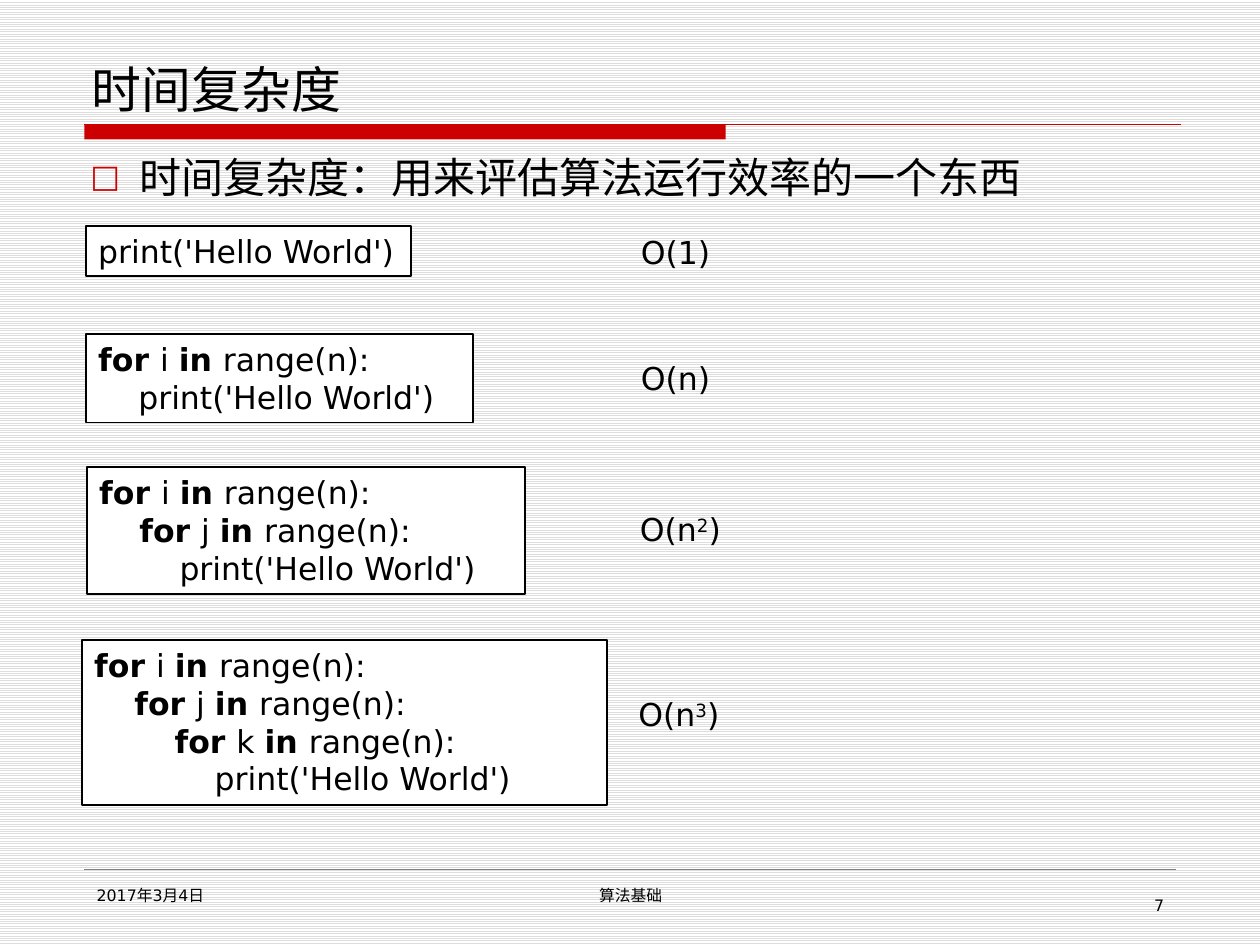
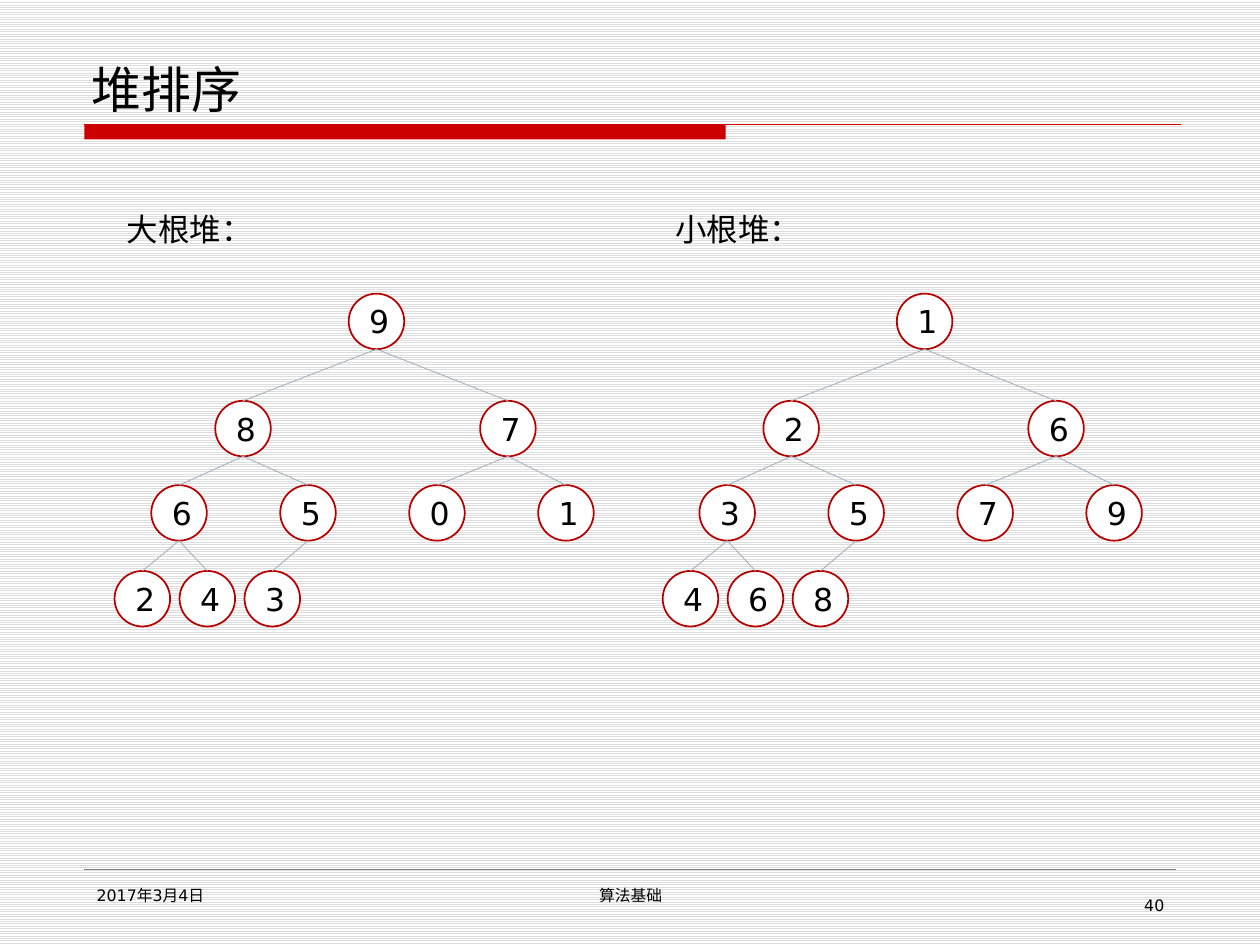
from dataclasses import dataclass

from lxml import etree
from pptx import Presentation
from pptx.dml.color import RGBColor
from pptx.enum.dml import MSO_PATTERN
from pptx.enum.shapes import MSO_CONNECTOR, MSO_SHAPE
from pptx.enum.text import MSO_ANCHOR, MSO_AUTO_SIZE, PP_ALIGN
from pptx.oxml.ns import qn
from pptx.util import Cm, Pt

RECT, OVAL = MSO_SHAPE.RECTANGLE, MSO_SHAPE.OVAL
STRAIGHT = MSO_CONNECTOR.STRAIGHT
STRIPES = MSO_PATTERN.LIGHT_HORIZONTAL
LEFT, CENTER, RIGHT = PP_ALIGN.LEFT, PP_ALIGN.CENTER, PP_ALIGN.RIGHT
TOP, MIDDLE, BOTTOM = MSO_ANCHOR.TOP, MSO_ANCHOR.MIDDLE, MSO_ANCHOR.BOTTOM
NO_AUTOFIT = MSO_AUTO_SIZE.NONE
TITLE_AND_BODY, TITLE_ONLY = 1, 5

FONT = "DejaVu Sans"
COLORS = {
    "text": "000000",
    "white": "FFFFFF",
    "stripe": "DDDDDD",
    "red": "CC0000",
    "node": "B90000",
    "edge": "A3B2C1",
    "rule": "808080",
}

INDENT = 0.81
LINE_H = 0.77
NODE = 1.12
LEVEL_TOPS = (5.92, 8.08, 9.78, 11.51)
LEVEL_LEFTS = (
    (4.72,),
    (2.03, 7.37),
    tuple(0.74 + 2.6 * i for i in range(4)),
    tuple(1.31 * i for i in range(8)),
)


@dataclass
class Example:
    """A code box with nested loops and its complexity."""

    left: float
    top: float
    width: float
    loops: str
    order_left: float
    order_top: float
    base: str
    power: str = ""


@dataclass
class Heap:
    """A labelled heap, its values in level order."""

    left: float
    label: str
    values: tuple[int, ...]


@dataclass
class Footer:
    """One of the footer texts."""

    left: float
    top: float
    width: float
    height: float
    align: PP_ALIGN
    text: str


EXAMPLES = (
    Example(1.73, 4.55, 6.55, "", 12.67, 4.57, "O(1"),
    Example(1.73, 6.73, 7.8, "i", 12.67, 7.11, "O(n"),
    Example(1.75, 9.42, 8.84, "ij", 12.65, 10.16, "O(n", "2"),
    Example(1.65, 12.9, 10.59, "ijk", 12.62, 13.89, "O(n", "3"),
)
HEAPS = (
    Heap(2.31, "大根堆：", (9, 8, 7, 6, 5, 0, 1, 2, 4, 3)),
    Heap(13.36, "小根堆：", (1, 2, 6, 3, 5, 7, 9, 4, 6, 8)),
)


def rgb(name: str) -> RGBColor:
    """Return a named colour."""
    return RGBColor.from_string(COLORS[name])


def add_text(p, text: str, *, size: float = 18, bold: bool = False,
             raised: bool = False, align: PP_ALIGN = LEFT) -> None:
    """Add a formatted run to a paragraph."""
    p.alignment = align
    r = p.add_run()
    r.text = text
    r.font.name = FONT
    r.font.size = Pt(size)
    r.font.bold = bold
    r.font.color.rgb = rgb("text")
    if raised:
        r._r.get_or_add_rPr().set("baseline", "30000")


def add_box(s, left: float, top: float, width: float, height: float):
    """Add a wrapping text box and return its first paragraph."""
    sp = s.shapes.add_textbox(Cm(left), Cm(top), Cm(width), Cm(height))
    sp.text_frame.word_wrap = True
    return sp.text_frame.paragraphs[0]


def add_shape(shapes, kind: MSO_SHAPE, left: float, top: float, width: float,
              height: float, *, fill: str = "white", line: str = ""):
    """Add a flat preset shape with an optional outline."""
    sp = shapes.add_shape(kind, Cm(left), Cm(top), Cm(width), Cm(height))
    sp.shadow.inherit = False
    sp.fill.solid()
    sp.fill.fore_color.rgb = rgb(fill)
    if line:
        sp.line.color.rgb = rgb(line)
        sp.line.width = Pt(1)
    else:
        sp.line.fill.background()
    return sp


def add_line(shapes, x1: int, y1: int, x2: int, y2: int, *, color: str, width: float):
    """Add a straight line without a shadow."""
    cxn = shapes.add_connector(STRAIGHT, x1, y1, x2, y2)
    cxn.line.color.rgb = rgb(color)
    cxn.line.width = Pt(width)
    etree.SubElement(cxn._element.spPr, qn("a:effectLst"))
    return cxn


def fill_placeholder(sp, text: str, left: float, top: float, width: float,
                     height: float, *, size: float, anchor: MSO_ANCHOR):
    """Place a placeholder, write its text and return the paragraph."""
    sp.left, sp.top, sp.width, sp.height = Cm(left), Cm(top), Cm(width), Cm(height)
    tf = sp.text_frame
    tf.auto_size = NO_AUTOFIT
    tf.vertical_anchor = anchor
    add_text(tf.paragraphs[0], text, size=size)
    return tf.paragraphs[0]


def set_bullet(p) -> None:
    """Give a paragraph a red square bullet."""
    pPr = p._p.get_or_add_pPr()
    pPr.set("marL", str(Cm(0.99)))
    pPr.set("indent", str(Cm(-0.99)))
    clr = etree.SubElement(pPr, qn("a:buClr"))
    etree.SubElement(clr, qn("a:srgbClr"), val=COLORS["red"])
    etree.SubElement(pPr, qn("a:buSzPct"), val="75000")
    etree.SubElement(pPr, qn("a:buFont"), typeface=FONT)
    etree.SubElement(pPr, qn("a:buChar"), char="□")


def add_slide(prs, layout: int, title: str, number: int):
    """Add a slide with the shared band, title and footers."""
    s = prs.slides.add_slide(prs.slide_layouts[layout])
    add_shape(s.shapes, RECT, 1.7, 2.51, 12.93, 0.3, fill="red")
    add_line(s.shapes, Cm(1.7), Cm(2.51), Cm(23.8), Cm(2.51), color="red", width=0.75)
    add_line(s.shapes, Cm(1.7), Cm(17.53), Cm(23.7), Cm(17.53), color="rule", width=0.25)
    fill_placeholder(s.shapes.title, title, 1.6, 0.84, 22.23, 1.68,
                     size=28.5, anchor=BOTTOM)
    footers = (
        Footer(1.7, 17.73, 5.51, 0.94, LEFT, "2017年3月4日"),
        Footer(8.69, 17.73, 8.05, 0.94, CENTER, "算法基础"),
        Footer(18.21, 17.93, 5.51, 0.74, RIGHT, str(number)),
    )
    for f in footers:
        p = add_box(s, f.left, f.top, f.width, f.height)
        add_text(p, f.text, size=9, align=f.align)
    return s


def add_example(s, ex: Example) -> None:
    """Draw a code box and its complexity."""
    depth = len(ex.loops)
    sp = add_shape(s.shapes, RECT, ex.left, ex.top, ex.width,
                   1.02 + LINE_H * depth, line="text")
    tf = sp.text_frame
    tf.vertical_anchor = TOP
    for level in range(depth + 1):
        p = tf.add_paragraph() if level else tf.paragraphs[0]
        p._p.get_or_add_pPr().set("marL", str(Cm(INDENT * level)))
        if level == depth:
            add_text(p, "print('Hello World')")
        else:
            add_text(p, "for ", bold=True)
            add_text(p, f"{ex.loops[level]} ")
            add_text(p, "in ", bold=True)
            add_text(p, "range(n):")
    p = add_box(s, ex.order_left, ex.order_top, 2.62, 1.02)
    add_text(p, ex.base)
    if ex.power:
        add_text(p, ex.power, raised=True)
    add_text(p, ")")


def add_heap(s, heap: Heap) -> None:
    """Draw a heap as a grouped binary tree with its label."""
    shapes = s.shapes.add_group_shape().shapes
    spots = [(left, top) for top, lefts in zip(LEVEL_TOPS, LEVEL_LEFTS) for left in lefts]
    nodes = []
    for value, (left, top) in zip(heap.values, spots):
        sp = add_shape(shapes, OVAL, heap.left + left, top, NODE, NODE, line="node")
        sp.text_frame.vertical_anchor = MIDDLE
        add_text(sp.text_frame.paragraphs[0], str(value), align=CENTER)
        nodes.append(sp)
    for i, child in enumerate(nodes[1:]):
        parent = nodes[i // 2]
        cxn = add_line(shapes, parent.left + parent.width // 2, parent.top + parent.height,
                       child.left + child.width // 2, child.top, color="edge", width=0.5)
        cxn.end_connect(child, 0)
    add_text(add_box(s, heap.left, 4.11, 3.1, 1.02), heap.label)


def main() -> None:
    """Build both slides and save them."""
    prs = Presentation()
    prs.slide_width, prs.slide_height = Cm(25.4), Cm(19.05)
    fill = prs.slide_master.background.fill
    fill.patterned()
    fill.pattern = STRIPES
    fill.fore_color.rgb = rgb("stripe")
    fill.back_color.rgb = rgb("white")

    s = add_slide(prs, TITLE_AND_BODY, "时间复杂度", 7)
    p = fill_placeholder(s.placeholders[1], "时间复杂度：用来评估算法运行效率的一个东西",
                         1.57, 2.92, 22.23, 13.79, size=24, anchor=TOP)
    set_bullet(p)
    for ex in EXAMPLES:
        add_example(s, ex)

    s = add_slide(prs, TITLE_ONLY, "堆排序", 40)
    for heap in HEAPS:
        add_heap(s, heap)

    prs.save("out.pptx")


if __name__ == "__main__":
    main()
